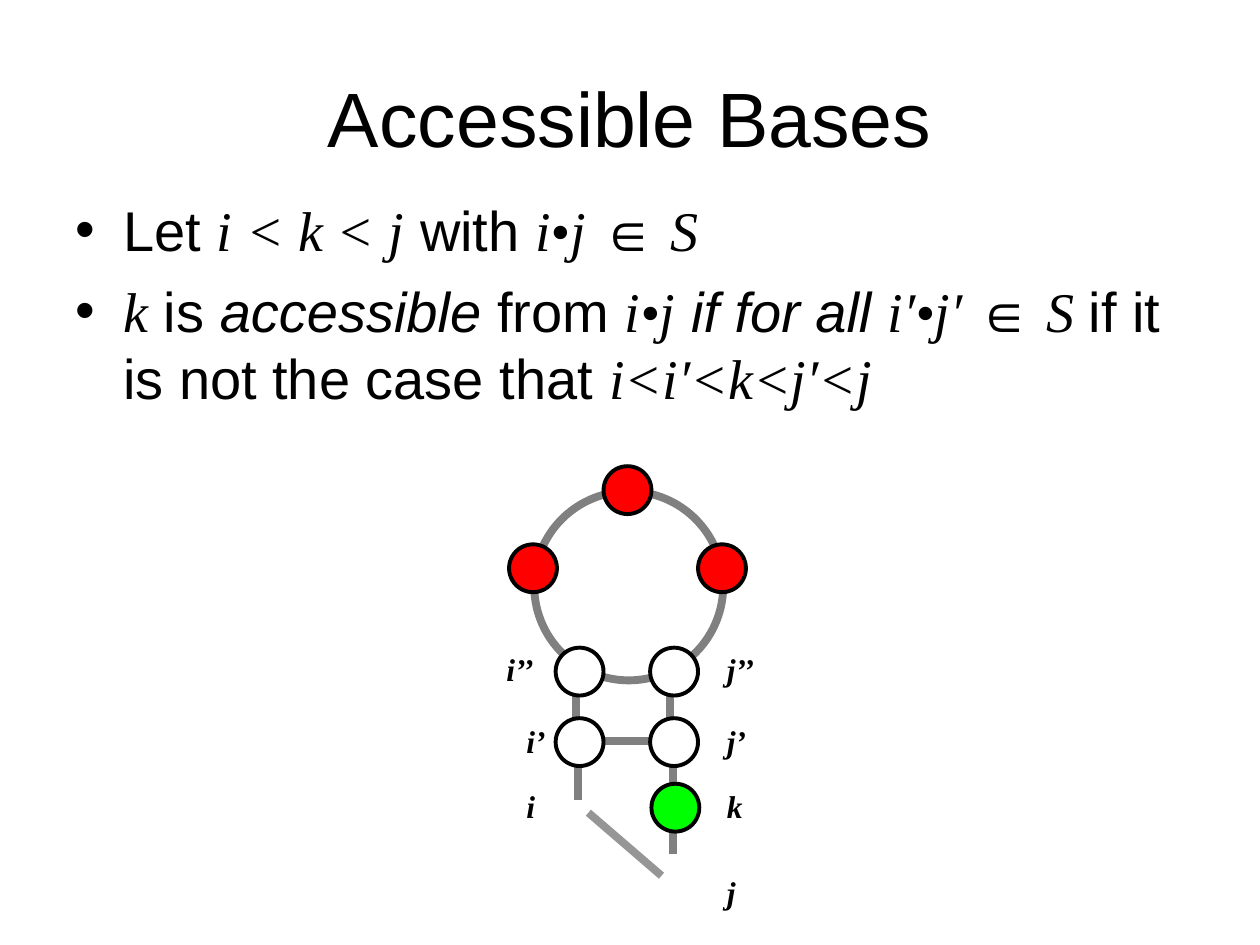
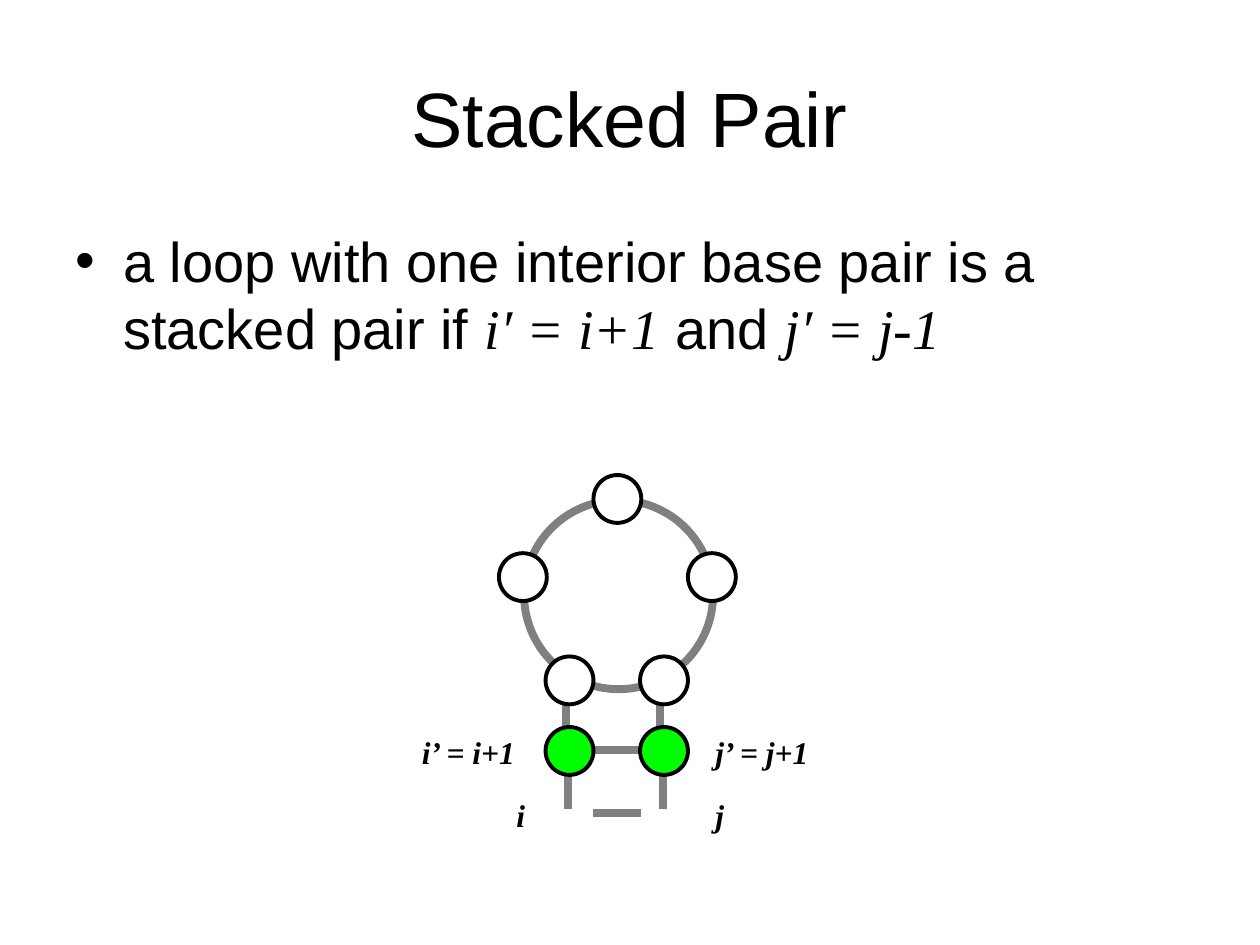
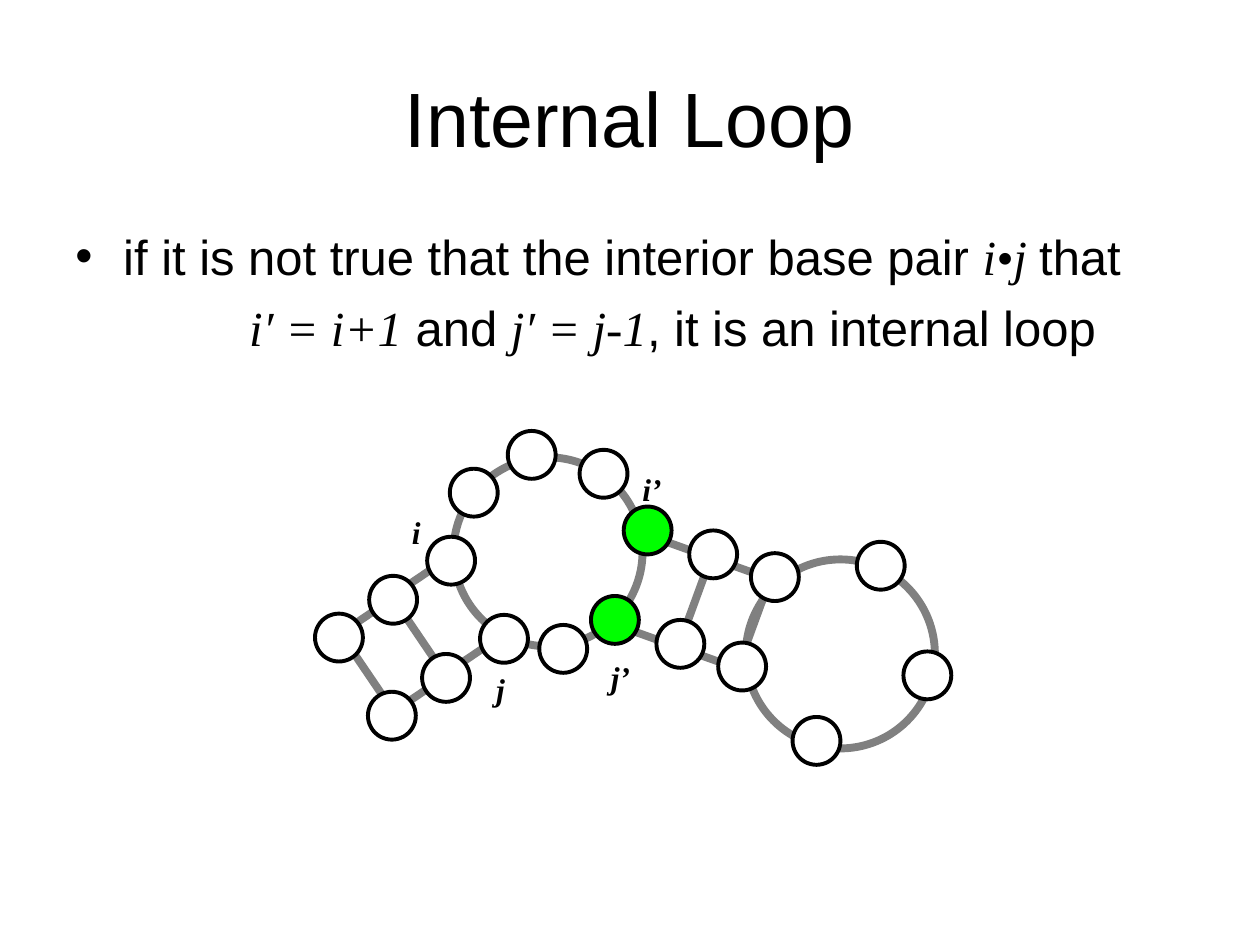
from lxml.etree import SubElement
from pptx import Presentation
from pptx.dml.color import RGBColor
from pptx.enum.shapes import MSO_CONNECTOR, MSO_SHAPE
from pptx.enum.text import MSO_ANCHOR, MSO_AUTO_SIZE, PP_ALIGN
from pptx.oxml.ns import qn
from pptx.util import Inches, Pt

BLACK = RGBColor(0x00, 0x00, 0x00)
WHITE = RGBColor(0xFF, 0xFF, 0xFF)
RED = RGBColor(0xFF, 0x00, 0x00)
GREEN = RGBColor(0x00, 0xFF, 0x00)
GRAY = RGBColor(0x80, 0x80, 0x80)
LIGHT_GRAY = RGBColor(0x96, 0x96, 0x96)

PLAIN = {"name": "Arial", "italic": False}
ITALIC = {"name": "Arial", "italic": True}
MATH = {"name": "Times New Roman", "italic": True}
TITLE = {"name": "Arial", "size": Pt(44)}
LABEL = {"name": "Times New Roman", "size": Pt(18), "bold": True, "italic": True}

BASE_SIZE = 0.38
LOOP_SIZE = 1.5
HANGING = 0.38


def set_font(font, style):
    """Apply a dict of format values and the black text colour."""
    for attribute, value in style.items():
        setattr(font, attribute, value)
    font.color.rgb = BLACK


def add_frame(slide, left, top, width, height, wrap=True):
    """Add an empty text box and return its text frame."""
    box = slide.shapes.add_textbox(
        Inches(left), Inches(top), Inches(width), Inches(height))
    box.text_frame.word_wrap = wrap
    return box.text_frame


def add_title(slide, text):
    """Add the centred slide title."""
    frame = add_frame(slide, 0.5, 0.3, 9, 1.25)
    frame.vertical_anchor = MSO_ANCHOR.MIDDLE
    heading = frame.paragraphs[0]
    heading.alignment = PP_ALIGN.CENTER
    run = heading.add_run()
    run.text = text
    set_font(run.font, TITLE)


def indent(paragraph, margin, bulleted):
    """Set the left margin, with a hanging bullet where wanted."""
    properties = paragraph._p.get_or_add_pPr()
    properties.set("marL", str(Inches(margin)))
    properties.set("indent", str(Inches(-HANGING if bulleted else 0)))
    if bulleted:
        SubElement(properties, qn("a:buFont"), typeface="Arial")
        SubElement(properties, qn("a:buChar"), char="•")
    else:
        SubElement(properties, qn("a:buNone"))


def add_body(slide, top, height, size, statements):
    """Add the statements, each a margin, a bullet flag and styled runs."""
    frame = add_frame(slide, 0.5, top, 9, height)
    for index, (margin, bulleted, parts) in enumerate(statements):
        statement = frame.add_paragraph() if index else frame.paragraphs[0]
        indent(statement, margin, bulleted)
        if index:
            statement.space_before = Pt(size / 4)
        for text, style in parts:
            run = statement.add_run()
            run.text = text
            set_font(run.font, {**style, "size": Pt(size)})


def add_circle(slide, left, top, size, line_color, line_width):
    """Add an unfilled circle."""
    circle = slide.shapes.add_shape(
        MSO_SHAPE.OVAL, Inches(left), Inches(top), Inches(size), Inches(size))
    circle.shadow.inherit = False
    circle.fill.background()
    circle.line.color.rgb = line_color
    circle.line.width = Pt(line_width)
    return circle


def add_loop(slide, left, top):
    """Add the gray ring of a loop."""
    add_circle(slide, left, top, LOOP_SIZE, GRAY, 4.5)


def add_base(slide, left, top, color=WHITE):
    """Add one base as a filled circle."""
    base = add_circle(slide, left, top, BASE_SIZE, BLACK, 2.25)
    base.fill.solid()
    base.fill.fore_color.rgb = color


def add_bond(slide, left, top, across, down, color=GRAY):
    """Add a bond from a point along a vector."""
    bond = slide.shapes.add_connector(
        MSO_CONNECTOR.STRAIGHT, Inches(left), Inches(top),
        Inches(left + across), Inches(top + down))
    bond.line.color.rgb = color
    bond.line.width = Pt(4.5)
    SubElement(bond._element.spPr, qn("a:effectLst"))


def add_labels(slide, labels, wrap=True):
    """Add base labels given as text, left, top and width."""
    for text, left, top, width in labels:
        frame = add_frame(slide, left, top, width, 0.4, wrap)
        frame.auto_size = MSO_AUTO_SIZE.SHAPE_TO_FIT_TEXT
        run = frame.paragraphs[0].add_run()
        run.text = text
        set_font(run.font, LABEL)


def add_hairpin(slide, left, top, loop_color, pair_color):
    """Add a hairpin loop closed by two base pairs."""
    add_loop(slide, left + 0.2, top + 0.2)
    for strand in (0, 0.75):
        add_bond(slide, left + 0.55 + strand, top + 2.2, 0, 0.45)
        add_bond(slide, left + 0.53 + strand, top + 1.62, 0, 0.45)
    add_bond(slide, left + 0.75, top + 2.18, 0.38, 0)
    for strand in (0, 0.75):
        add_base(slide, left + 0.37 + strand, top + 2, pair_color)
        add_base(slide, left + 0.37 + strand, top + 1.44)
    for across, down in ((0.75, 0), (1.5, 0.62), (0, 0.62)):
        add_base(slide, left + across, top + down, loop_color)


def add_stem(slide, bases, bonds, step, rungs, partner):
    """Add a strand of bases, its shifted partner and the rungs between."""
    shift_x, shift_y = partner
    strands = ((0, 0), partner)
    for across, down in strands:
        for left, top in bonds:
            add_bond(slide, left + across, top + down, *step)
    for left, top in rungs:
        add_bond(slide, left, top, shift_x / 2, shift_y / 2)
    for across, down in strands:
        for left, top, color in bases:
            add_base(slide, left + across, top + down, color)


def accessible_bases(slide):
    """Build the slide on accessible bases."""
    add_title(slide, "Accessible Bases")
    add_bond(slide, 4.67, 6.45, 0.58, 0.5, LIGHT_GRAY)
    add_hairpin(slide, 4.04, 3.7, RED, WHITE)
    add_bond(slide, 5.34, 6.42, 0, 0.36)
    add_base(slide, 5.17, 6.22, GREEN)
    add_labels(slide, [
        ("i", 4.08, 6.2, 0.58), ("j", 5.67, 6.88, 0.25),
        ("i’", 4.08, 5.68, 0.58), ("j’", 5.67, 5.68, 0.5),
        ("i’’", 3.92, 5.11, 0.75), ("j’’", 5.67, 5.11, 0.5),
        ("k", 5.67, 6.2, 0.58)])
    add_body(slide, 1.5, 2, 32, [
        (HANGING, True, [
            ("Let ", PLAIN), ("i < k < j", MATH), (" with ", PLAIN),
            ("i•j ", MATH), ("∈", ITALIC), (" S", MATH)]),
        (HANGING, True, [
            ("k", MATH), (" is ", PLAIN), ("accessible", ITALIC),
            (" from ", PLAIN), ("i•j", MATH), (" if for all ", ITALIC),
            ("i′•j′ ", MATH), ("∈", ITALIC), (" S ", MATH),
            ("if it is not the case that ", PLAIN),
            ("i<i′<k<j′<j", MATH)])])


def stacked_pair(slide):
    """Build the slide on stacked pairs."""
    add_title(slide, "Stacked Pair")
    add_body(slide, 1.75, 1.33, 32, [
        (HANGING, True, [
            ("a loop with one interior base pair is a stacked pair if ", PLAIN),
            ("i′ = i+1", MATH), (" and ", PLAIN), ("j′ = j-1", MATH)])])
    add_hairpin(slide, 3.96, 3.77, WHITE, GREEN)
    add_bond(slide, 4.71, 6.45, 0.38, 0)
    add_labels(slide, [
        ("i", 4, 6.27, 0.58), ("j", 5.58, 6.27, 0.25),
        ("i’ = i+1", 3.25, 5.77, 1), ("j’ = j+1", 5.58, 5.77, 1.08)])


def internal_loop(slide):
    """Build the slide on internal loops."""
    add_title(slide, "Internal Loop")
    add_body(slide, 1.75, 1.33, 28, [
        (HANGING, True, [
            ("if it is not true that the interior base pair ", PLAIN),
            ("i•j ", MATH), ("that", PLAIN)]),
        (HANGING + 1, False, [
            ("i′ = i+1", MATH), (" and ", PLAIN), ("j′ = j-1", MATH),
            (", it is an internal loop", PLAIN)])])
    add_loop(slide, 3.6, 3.63)
    add_loop(slide, 5.92, 4.44)
    add_stem(
        slide,
        bases=[(2.5, 4.87, WHITE), (2.93, 4.57, WHITE), (3.39, 4.26, WHITE)],
        bonds=[(2.73, 5.01), (3.2, 4.67)], step=(0.37, -0.25),
        rungs=[(2.82, 5.2), (3.23, 4.91)], partner=(0.42, 0.62))
    add_stem(
        slide,
        bases=[(4.95, 4.02, GREEN), (5.47, 4.21, WHITE), (5.96, 4.39, WHITE)],
        bonds=[(5.12, 4.24), (5.54, 4.39)], step=(0.42, 0.15),
        rungs=[(5.59, 4.57), (6.06, 4.74)], partner=(-0.26, 0.71))
    for left, top in ((4.6, 3.57), (4.28, 4.96), (3.57, 3.72), (4.03, 3.42),
                      (6.8, 4.3), (6.29, 5.69), (7.17, 5.17)):
        add_base(slide, left, top)
    add_labels(slide, [
        ("i’", 5, 3.68, 0.35), ("j’", 4.75, 5.17, 0.35),
        ("i", 3.17, 4.02, 0.27), ("j", 3.84, 5.27, 0.27)], wrap=False)


def main():
    """Build the three slides and save them."""
    deck = Presentation()
    deck.slide_width = Inches(10)
    deck.slide_height = Inches(7.5)
    for build in (accessible_bases, stacked_pair, internal_loop):
        build(deck.slides.add_slide(deck.slide_layouts[6]))
    deck.save("out.pptx")


if __name__ == "__main__":
    main()
